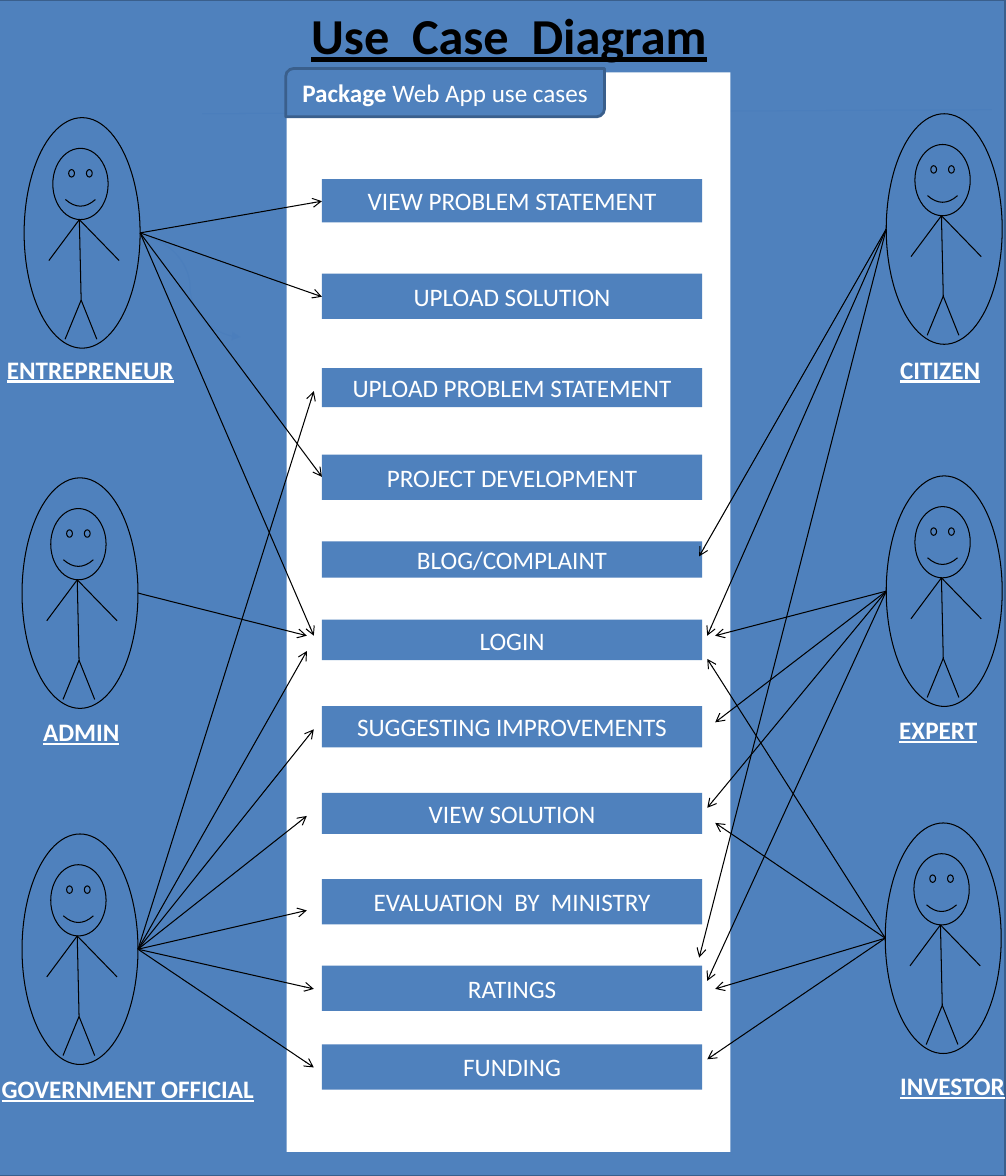
from dataclasses import dataclass

from lxml.etree import SubElement
from pptx import Presentation
from pptx.dml.color import RGBColor
from pptx.enum.shapes import MSO_CONNECTOR as Connector, MSO_SHAPE as Shape
from pptx.enum.text import MSO_ANCHOR as Anchor, MSO_AUTO_SIZE as AutoSize, PP_ALIGN as Align
from pptx.oxml.ns import qn
from pptx.util import Pt


@dataclass(frozen=True)
class Theme:
    """Colours, type sizes and line widths of the slide."""
    blue: str = "4F81BD"
    edge: str = "3A5F8C"
    faint: str = "4B7EBC"
    white: str = "FFFFFF"
    black: str = "000000"
    font: str = "Calibri"
    title_size: float = 36
    text_size: float = 18
    thin: float = 0.75
    thick: float = 2


class Diagram:
    """Draws use case elements on one slide."""

    def __init__(self, slide, theme):
        """Keep the slide and its style."""
        self.slide, self.shapes, self.theme = slide, slide.shapes, theme

    def add_runs(self, frame, runs, align=Align.CENTER, color=None, size=None, underline=False):
        """Fill a text frame with (text, bold) runs."""
        paragraph = frame.paragraphs[0]
        paragraph.alignment = align
        for text, bold in runs:
            run = paragraph.add_run()
            run.text = text
            style = {"name": self.theme.font, "size": Pt(size or self.theme.text_size),
                     "bold": bold, "underline": underline}
            for name, value in style.items():
                setattr(run.font, name, value)
            run.font.color.rgb = RGBColor.from_string(color or self.theme.white)

    def box(self, kind, bounds, fill=None, line=None, width=0, runs=()):
        """Add a preset shape, with text if runs are given."""
        shape = self.shapes.add_shape(kind, *map(Pt, bounds))
        shape.shadow.inherit = False
        for target, color in ((shape.fill, fill), (shape.line.fill, line)):
            if color:
                target.solid()
                target.fore_color.rgb = RGBColor.from_string(color)
            else:
                target.background()
        if line:
            shape.line.width = Pt(width)
        if runs:
            shape.text_frame.vertical_anchor = Anchor.MIDDLE
            self.add_runs(shape.text_frame, runs)
        return shape

    def line(self, start, end, color=None, head=None, kind=Connector.STRAIGHT):
        """Add a thin connector, with an arrowhead at its end if one is named."""
        connector = self.shapes.add_connector(kind, *map(Pt, (*start, *end)))
        connector.line.width = Pt(self.theme.thin)
        connector.line.color.rgb = RGBColor.from_string(color or self.theme.black)
        properties = connector.element.spPr
        if head:
            SubElement(properties.find(qn("a:ln")), qn("a:tailEnd"), type=head)
        SubElement(properties, qn("a:effectLst"))

    def title(self, text, bounds):
        """Place the title placeholder above the shapes drawn so far."""
        title = self.shapes.title
        for name, value in zip(("left", "top", "width", "height"), bounds):
            setattr(title, name, Pt(value))
        frame = title.text_frame
        settings = {"margin_left": 0, "margin_right": 0, "margin_top": 0, "margin_bottom": 0,
                    "vertical_anchor": Anchor.TOP, "auto_size": AutoSize.NONE}
        for name, value in settings.items():
            setattr(frame, name, value)
        self.add_runs(frame, [(text, True)], color=self.theme.black,
                      size=self.theme.title_size, underline=True)
        self.shapes.element.append(title.element)

    def label(self, text, bounds):
        """Add an underlined actor name."""
        frame = self.shapes.add_textbox(*map(Pt, bounds)).text_frame
        frame.word_wrap = True
        self.add_runs(frame, [(text, True)], Align.LEFT, underline=True)

    def actor(self, left, top):
        """Draw a stick figure inside an oval."""
        black, thin = self.theme.black, self.theme.thin
        x, y = left + 39.5, top + 73
        neck, hip = (x, y), (x + 1.3, y + 57.6)
        for start, dx, dy in ((neck, 1.3, 57.6), (hip, -11.5, 28), (hip, 11.2, 28),
                              (neck, -21.8, 29.3), (neck, 28.5, 29.3)):
            self.line(start, (start[0] + dx, start[1] + dy))
        self.box(Shape.SMILEY_FACE, (x - 19, y - 51, 39.6, 51), line=black, width=thin)
        self.box(Shape.OVAL, (left, top, *OVAL), line=black, width=thin)


OVAL = (83, 165)
CASE_LEFT, CASE_WIDTH = 230.4, 272.2
# Use case: top, height
CASES = {
    "VIEW PROBLEM STATEMENT": (128.2, 31), "UPLOAD SOLUTION": (195.8, 32.4),
    "UPLOAD PROBLEM STATEMENT": (263.5, 28), "PROJECT DEVELOPMENT": (325.4, 32.4),
    "BLOG/COMPLAINT": (387.4, 26), "LOGIN": (443.5, 29),
    "SUGGESTING IMPROVEMENTS": (505.4, 29.5), "VIEW SOLUTION": (567.4, 29.5),
    "EVALUATION  BY  MINISTRY": (629.3, 32.4), "RATINGS": (691.2, 32.4),
    "FUNDING": (747.4, 32.4),
}
# Actor: oval corner, label bounds, arrow ends
LEFT_ACTORS = {
    "ENTREPRENEUR": ((17.3, 84.2), (-2.2, 249.8, 139, 29),
                     [(230.4, 144), (230.4, 212.4), (230.4, 341.3), (224.6, 455)]),
    "ADMIN": ((15.8, 342), (23.8, 509, 83, 29), [(219.6, 455)]),
    "GOVERNMENT OFFICIAL": ((15.8, 596.9), (-5.8, 764.6, 201.6, 29),
                            [(224.6, 280), (219.6, 466), (224.6, 522), (219.6, 584),
                             (219.6, 651.6), (224.6, 707.8), (224.6, 764)]),
}
RIGHT_ACTORS = {
    "CITIZEN": ((634.3, 81.4), (637.2, 249.8, 147, 29),
                [(500.4, 398.2), (506.2, 455), (500.4, 685.4)]),
    "EXPERT": ((634.3, 340.6), (636.5, 507.6, 147, 29),
               [(511.9, 455), (511.9, 517), (506.2, 578.2), (506.2, 702)]),
    "INVESTOR": ((633.6, 589), (637.2, 762.5, 147, 29),
                 [(506.2, 471.6), (511.9, 589), (511.9, 707.8), (506.2, 758.2)]),
}


def build():
    """Build and save the use case slide."""
    theme = Theme()
    presentation = Presentation()
    presentation.slide_width, presentation.slide_height = Pt(720), Pt(841.68)
    slide = presentation.slides.add_slide(presentation.slide_layouts[5])
    diagram = Diagram(slide, theme)

    diagram.box(Shape.RECTANGLE, (-0.7, 0, 720, 841.68), theme.blue, theme.edge, theme.thick)
    diagram.title("Use  Case  Diagram", (153.4, 2.9, 421.9, 43.9))
    diagram.line((144.7, 81.4), (709.9, 78.5), theme.faint)
    diagram.box(Shape.RECTANGLE, (205.2, 51.8, 317.5, 772.6), theme.white)
    for name, (top, height) in CASES.items():
        diagram.box(Shape.RECTANGLE, (CASE_LEFT, top, CASE_WIDTH, height), theme.blue,
                    runs=[(name, False)])
    diagram.box(Shape.ROUND_2_DIAG_RECTANGLE, (204.5, 49, 228.2, 34.6), theme.blue,
                theme.edge, theme.thick, [("Package", True), (" Web App use cases", False)])
    diagram.line((100, 169.2), (172, 241.2), theme.faint, "triangle", Connector.CURVE)

    for actors, side in ((LEFT_ACTORS, OVAL[0]), (RIGHT_ACTORS, 0)):
        for name, ((left, top), label_bounds, ends) in actors.items():
            diagram.actor(left, top)
            diagram.label(name, label_bounds)
            for end in ends:
                diagram.line((left + side, top + OVAL[1] / 2), end, head="arrow")

    presentation.save("out.pptx")


build()
